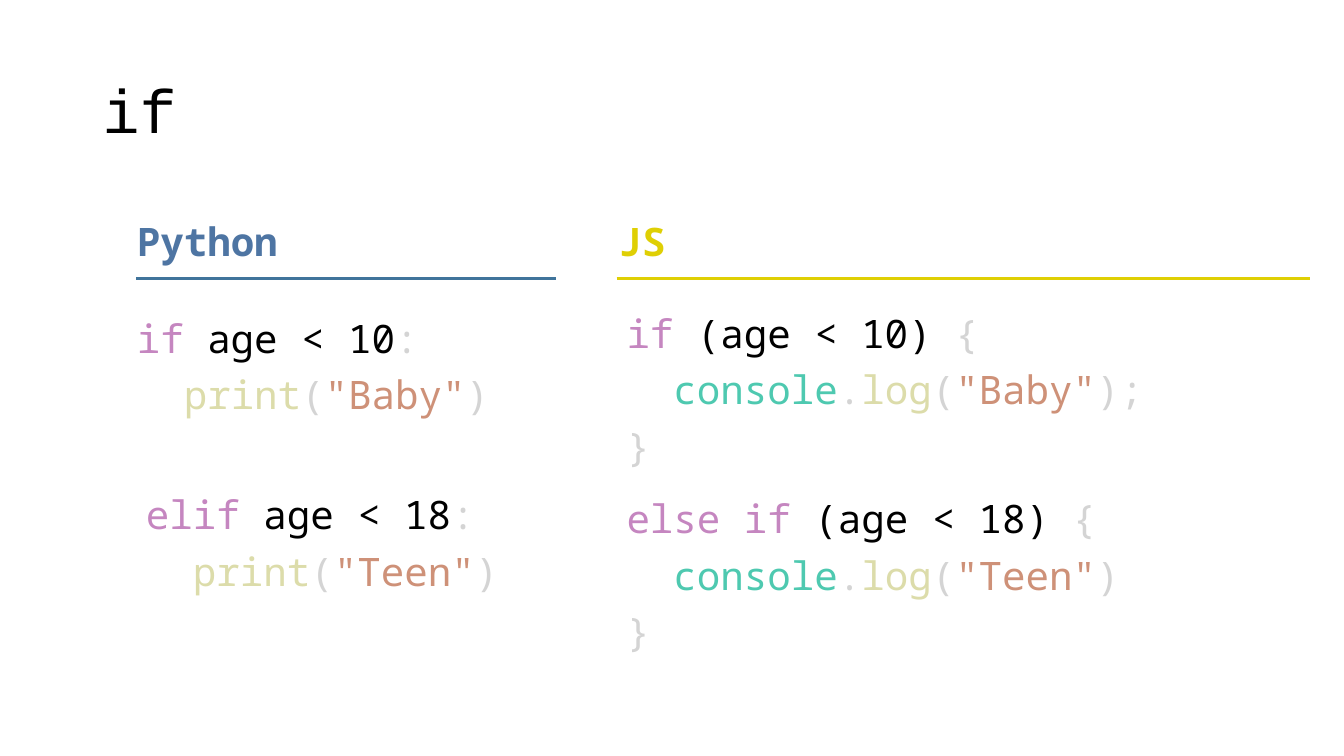
from dataclasses import dataclass

from lxml import etree
from pptx import Presentation
from pptx.dml.color import RGBColor
from pptx.enum.shapes import MSO_CONNECTOR
from pptx.enum.text import MSO_ANCHOR
from pptx.oxml.ns import qn
from pptx.util import Cm, Pt

STRAIGHT = MSO_CONNECTOR.STRAIGHT
TOP, MIDDLE = MSO_ANCHOR.TOP, MSO_ANCHOR.MIDDLE


@dataclass(frozen=True)
class Theme:
    title_font: str = "Courier New"
    code_font: str = "Noto Sans Mono"
    title_size: int = 44
    code_size: int = 28
    rule_width: float = 2.25
    ink: str = "000000"
    python: str = "4E75A3"
    python_rule: str = "40749B"
    js: str = "DFCF04"
    keyword: str = "C586C0"
    mark: str = "D4D4D4"
    function: str = "DCDCAA"
    string: str = "CE9178"
    variable: str = "4EC9B0"


theme = Theme()


def add_box(page, left, top, width, height, anchor=TOP):
    box = page.shapes.add_textbox(Cm(left), Cm(top), Cm(width), Cm(height))
    box.text_frame.word_wrap = True
    box.text_frame.vertical_anchor = anchor
    return box.text_frame


def add_span(para, text, color, font=theme.code_font, size=theme.code_size, bold=False):
    span = para.add_run()
    span.text = text
    span.font.name = font
    span.font.size = Pt(size)
    span.font.bold = bold
    span.font.color.rgb = RGBColor.from_string(color)


deck = Presentation()
deck.slide_width, deck.slide_height = Cm(33.87), Cm(19.05)
page = deck.slides.add_slide(deck.slide_layouts[6])

# Title
title = add_box(page, 2.34, 1.02, 29.21, 3.68, MIDDLE).paragraphs[0]
title.line_spacing = 0.9
add_span(title, "if", theme.ink, theme.title_font, theme.title_size)

# Column headings: name, text color, rule color, text left, rule start, rule end
headings = [
    ("Python", theme.python, theme.python_rule, 3.2, 3.43, 14),
    ("JS", theme.js, theme.js, 15.34, 15.54, 33.02),
]
for name, color, rule_color, left, start, end in headings:
    heading = add_box(page, left, 5.36, 4.62, 1.45).paragraphs[0]
    add_span(heading, name, color, bold=True)
    rule = page.shapes.add_connector(STRAIGHT, Cm(start), Cm(7.01), Cm(end), Cm(7.01))
    rule.line.color.rgb = RGBColor.from_string(rule_color)
    rule.line.width = Pt(theme.rule_width)
    etree.SubElement(rule.element.spPr, qn("a:effectLst"))

# Each branch: keyword, test, message, Python left and top, JS top, JS call end
branches = [
    ("if ", "else", "age < 10", '"Baby"', 3.2, 7.92, 7.8, ");"),
    ("elif ", "else if ", "age < 18", '"Teen"', 3.43, 12.37, 12.47, ")"),
]
branches[0] = ("if ", "if ") + branches[0][2:]

# Code snippets, one box per branch and language
for python_word, js_word, test, message, left, python_top, js_top, js_end in branches:
    python_code = [
        [(python_word, theme.keyword), (test, theme.ink), (":", theme.mark)],
        [("  print", theme.function), ("(", theme.mark),
         (message, theme.string), (")", theme.mark)],
    ]
    js_code = [
        [(js_word, theme.keyword), (f"({test})", theme.ink), (" {", theme.mark)],
        [("  console", theme.variable), (".", theme.mark), ("log", theme.function),
         ("(", theme.mark), (message, theme.string), (js_end, theme.mark)],
        [("}", theme.mark)],
    ]
    snippets = [
        (python_code, left, python_top, 11.38, 4.55),
        (js_code, 15.54, js_top, 17.96, 4.65),
    ]
    for code, *place in snippets:
        frame = add_box(page, *place)
        for row, tokens in enumerate(code):
            para = frame.add_paragraph() if row else frame.paragraphs[0]
            para.line_spacing = 0.9
            para.space_before = Pt(10)
            for text, color in tokens:
                add_span(para, text, color)

deck.save("out.pptx")
